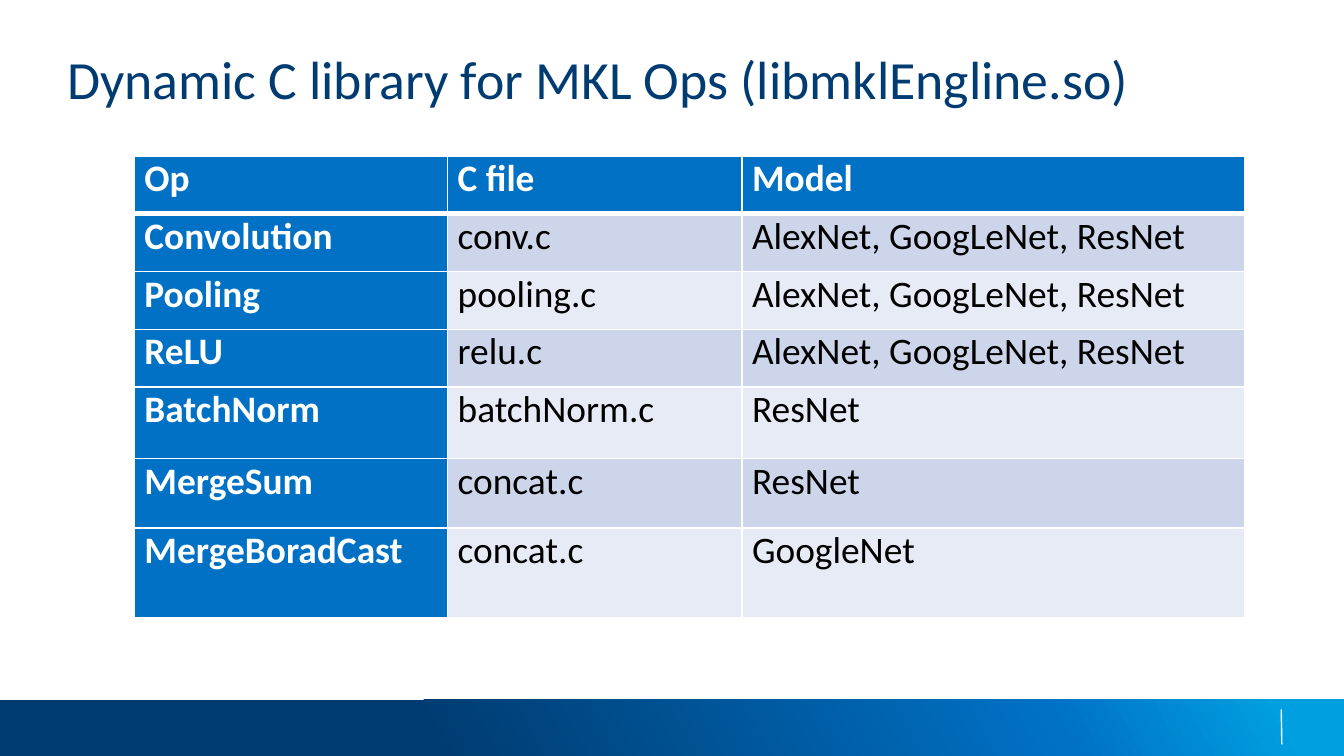
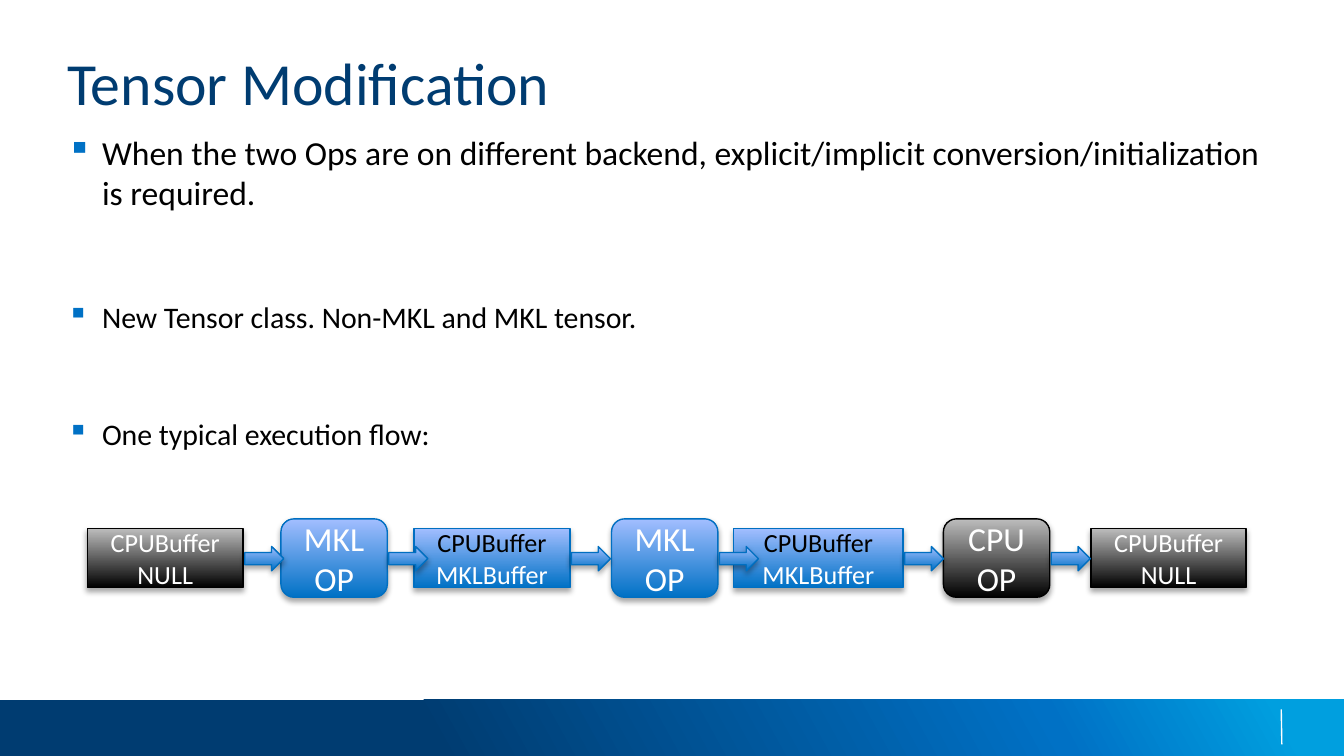
from dataclasses import dataclass

from lxml.etree import SubElement
from pptx import Presentation
from pptx.dml.color import RGBColor
from pptx.enum.shapes import MSO_CONNECTOR, MSO_SHAPE
from pptx.enum.text import MSO_ANCHOR, PP_ALIGN
from pptx.oxml.ns import qn
from pptx.util import Pt

NAVY = RGBColor(0x00, 0x3C, 0x71)
BLUE = RGBColor(0x00, 0x71, 0xC5)
CYAN = RGBColor(0x00, 0x9F, 0xDF)
EDGE_BLUE = RGBColor(0x00, 0x6F, 0xC1)
PALE_BLUE = RGBColor(0xA2, 0xBE, 0xFF)
GRAY = RGBColor(0xBD, 0xBD, 0xBD)
BLACK = RGBColor(0x00, 0x00, 0x00)
WHITE = RGBColor(0xFF, 0xFF, 0xFF)
DARK_ROW = RGBColor(0xCC, 0xD5, 0xEA)
LIGHT_ROW = RGBColor(0xE7, 0xEB, 0xF5)
FONT = "Calibri"


@dataclass
class Box:
    left: float
    top: float
    width: float
    height: float

    def points(self):
        return Pt(self.left), Pt(self.top), Pt(self.width), Pt(self.height)


PAGE = Box(0, 0, 720, 405)
BAND = Box(0, 375, 720, 30)
TITLE = Box(36, 24.5, 648, 68.4)
TABLE = Box(72, 83.5, 594.7, 247.7)
BODY = Box(36, 70.6, 648, 200)
FLOW = Box(46.8, 277.5, 620.6, 42)

MKL_STYLE = (BLUE, PALE_BLUE, EDGE_BLUE)
CPU_STYLE = (BLACK, GRAY, BLACK)

OPERATIONS = [
    ("Op", "C file", "Model"),
    ("Convolution", "conv.c", "AlexNet, GoogLeNet, ResNet"),
    ("Pooling", "pooling.c", "AlexNet, GoogLeNet, ResNet"),
    ("ReLU", "relu.c", "AlexNet, GoogLeNet, ResNet"),
    ("BatchNorm", "batchNorm.c", "ResNet"),
    ("MergeSum", "concat.c", "ResNet"),
    ("MergeBoradCast", "concat.c", "GoogleNet"),
]
COLUMN_WIDTHS = [167.8, 157.7, 269.2]
ROW_HEIGHTS = [31, 31, 31, 31, 38.2, 37.4, 48.1]

BULLETS = [
    ("When the two Ops are on different backend, explicit/implicit "
     "conversion/initialization is required.", 18, 0),
    ("New Tensor class. Non-MKL and MKL tensor.", 16, 46),
    ("One typical execution flow:", 16, 43.5),
]

CPU_BUFFER = [("CPUBuffer", WHITE), ("NULL", WHITE)]
MKL_BUFFER = [("CPUBuffer", BLACK), ("MKLBuffer", WHITE)]
MKL_OP = [("MKL", WHITE), ("OP", WHITE)]
CPU_OP = [("CPU OP", WHITE)]
FLOW_STEPS = [
    (0, 83.5, CPU_BUFFER, CPU_STYLE, False),
    (103.7, 57, MKL_OP, MKL_STYLE, True),
    (175, 83.5, MKL_BUFFER, MKL_STYLE, False),
    (280.8, 57, MKL_OP, MKL_STYLE, True),
    (346.3, 90.7, MKL_BUFFER, MKL_STYLE, False),
    (458.6, 57, CPU_OP, CPU_STYLE, True),
    (537.8, 83, CPU_BUFFER, CPU_STYLE, False),
]


def add_run(para, text, size, color, bold=False):
    span = para.add_run()
    span.text = text
    span.font.name = FONT
    span.font.size = Pt(size)
    span.font.bold = bold
    span.font.color.rgb = color


def add_color(parent, color):
    return SubElement(parent, qn("a:srgbClr"), val=str(color))


def set_gradient(shape, stops, angle):
    shape.fill.gradient()
    shape.fill.gradient_angle = angle
    stop_list = shape._element.spPr.find(".//" + qn("a:gsLst"))
    for stop in list(stop_list):
        stop_list.remove(stop)
    for percent, color in stops:
        add_color(SubElement(stop_list, qn("a:gs"), pos=str(percent * 1000)), color)


def add_text_box(page, box):
    frame = page.shapes.add_textbox(*box.points()).text_frame
    frame.word_wrap = True
    frame.margin_left = frame.margin_right = 0
    frame.margin_top = frame.margin_bottom = 0
    return frame


def add_band(page, box):
    band = page.shapes.add_shape(MSO_SHAPE.RECTANGLE, *box.points())
    band.shadow.inherit = False
    band.line.fill.background()
    set_gradient(band, [(32, NAVY), (78, BLUE), (95, CYAN)], 29)
    divider = page.shapes.add_connector(
        MSO_CONNECTOR.STRAIGHT,
        Pt(box.left + 686.4), Pt(box.top + 5),
        Pt(box.left + 686.7), Pt(box.top + 23.8),
    )
    divider.line.color.rgb = WHITE
    divider.line.width = Pt(0.75)
    SubElement(divider._element.spPr, qn("a:effectLst"))


def add_title(page, box, text, size):
    para = add_text_box(page, box).paragraphs[0]
    add_run(para, text, size, NAVY)


def add_page(deck, title, size):
    page = deck.slides.add_slide(deck.slide_layouts[6])
    add_band(page, BAND)
    add_title(page, TITLE, title, size)
    return page


def set_borders(cell, bottom_width, top_width):
    properties = cell._tc.get_or_add_tcPr()
    for side, width in (("L", 1), ("R", 1), ("T", top_width), ("B", bottom_width)):
        border = SubElement(properties, qn("a:ln" + side), w=str(Pt(width)))
        add_color(SubElement(border, qn("a:solidFill")), WHITE)


def fill_cell(cell, text, row, column):
    heading = row == 0 or column == 0
    set_borders(cell, 3 if row == 0 else 1, 3 if row == 1 else 1)
    cell.fill.solid()
    cell.fill.fore_color.rgb = BLUE if heading else DARK_ROW if row % 2 else LIGHT_ROW
    cell.margin_left = cell.margin_right = Pt(5.4)
    cell.margin_top = cell.margin_bottom = 0
    para = cell.text_frame.paragraphs[0]
    para.alignment = PP_ALIGN.JUSTIFY
    add_run(para, text, 20, WHITE if heading else BLACK, heading)


def add_operations_table(page, box):
    table = page.shapes.add_table(
        len(OPERATIONS), len(COLUMN_WIDTHS), *box.points()
    ).table
    table.first_row = table.horz_banding = False
    for column, width in zip(table.columns, COLUMN_WIDTHS):
        column.width = Pt(width)
    for row, height in zip(table.rows, ROW_HEIGHTS):
        row.height = Pt(height)
    for row, texts in enumerate(OPERATIONS):
        for column, text in enumerate(texts):
            fill_cell(table.cell(row, column), text, row, column)


def add_bullets(page, box):
    frame = add_text_box(page, box)
    for index, (text, size, gap) in enumerate(BULLETS):
        para = frame.add_paragraph() if index else frame.paragraphs[0]
        para.space_before = Pt(gap)
        properties = para._p.get_or_add_pPr()
        properties.set("marL", str(Pt(18.7)))
        properties.set("indent", str(-Pt(18.7)))
        add_color(SubElement(properties, qn("a:buClr")), BLUE)
        SubElement(properties, qn("a:buChar"), char="▪")
        add_run(para, text, size, BLACK)


def add_flow_shape(page, kind, box, style):
    dark, light, edge = style
    shape = page.shapes.add_shape(kind, *box.points())
    set_gradient(shape, [(0, dark), (100, light)], 90)
    shape.line.color.rgb = edge
    shape.line.width = Pt(0.75)
    shape.shadow.inherit = False
    effects = shape._element.spPr.find(qn("a:effectLst"))
    shadow = SubElement(
        effects, qn("a:outerShdw"), blurRad=str(Pt(3.1)), dist=str(Pt(1.8)),
        dir="5400000", rotWithShape="0",
    )
    SubElement(add_color(shadow, BLACK), qn("a:alpha"), val="35000")
    return shape


def add_step(page, box, lines, style, is_operation):
    kind = MSO_SHAPE.ROUNDED_RECTANGLE if is_operation else MSO_SHAPE.RECTANGLE
    frame = add_flow_shape(page, kind, box, style).text_frame
    frame.word_wrap = True
    frame.vertical_anchor = MSO_ANCHOR.MIDDLE
    for index, (text, color) in enumerate(lines):
        para = frame.add_paragraph() if index else frame.paragraphs[0]
        para.alignment = PP_ALIGN.CENTER
        add_run(para, text, 18 if is_operation else 14, color)


def add_flow(page, box):
    middle = box.top + box.height / 2 + 0.5
    for left, width, lines, style, is_operation in FLOW_STEPS:
        height = box.height if is_operation else 31.7
        step = Box(box.left + left, middle - height / 2, width, height)
        add_step(page, step, lines, style, is_operation)
    for left, width, *_ in FLOW_STEPS[:-1]:
        arrow = Box(box.left + left + width + 0.8, middle - 6.2, 20.9, 13)
        add_flow_shape(page, MSO_SHAPE.RIGHT_ARROW, arrow, MKL_STYLE)


def build_operations_page(deck):
    page = add_page(deck, "Dynamic C library for MKL Ops (libmklEngline.so)", 28.8)
    add_operations_table(page, TABLE)


def build_tensor_page(deck):
    page = add_page(deck, "Tensor Modification", 32)
    add_bullets(page, BODY)
    add_flow(page, FLOW)


def main():
    deck = Presentation()
    deck.slide_width = Pt(PAGE.width)
    deck.slide_height = Pt(PAGE.height)
    build_operations_page(deck)
    build_tensor_page(deck)
    deck.save("out.pptx")


if __name__ == "__main__":
    main()
